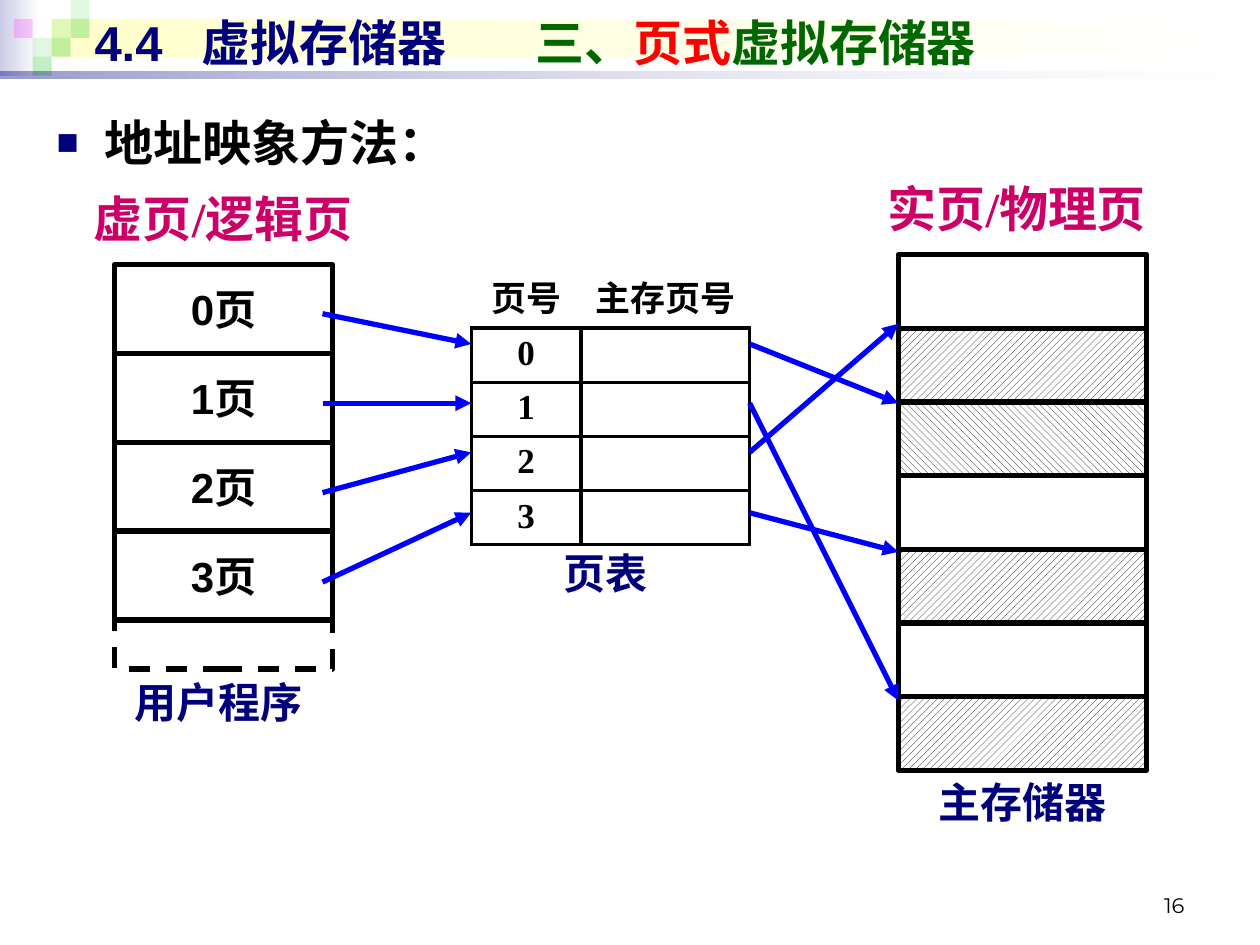
from lxml import etree
from pptx import Presentation, util as u
from pptx.dml.color import RGBColor
from pptx.enum import dml, shapes, text
from pptx.oxml import parse_xml
from pptx.oxml.ns import nsdecls, qn

Inches = u.Inches
NAVY, GREEN, RED, PINK, BLUE, BLACK, WHITE = map(RGBColor.from_string, (
    "00007D", "006600", "FF0000", "CC0066", "0000FF", "000000", "FFFFFF"))
LAVENDER, CREAM = RGBColor(0xCC, 0xCC, 0xE6), RGBColor(0xFF, 0xFF, 0xCC)
LIME, MAGENTA = RGBColor(0x33, 0xCC, 0x33), RGBColor(0xFF, 0, 0xFF)
SANS, SERIF = "Arial", "Times New Roman"
LEFT, CENTER, RIGHT = text.PP_ALIGN.LEFT, text.PP_ALIGN.CENTER, text.PP_ALIGN.RIGHT

TITLE = [("4.4\t虚拟存储器\t", NAVY), ("三、", GREEN), ("页式", RED), ("虚拟存储器", GREEN)]
TITLE_TABS = (0.85, 3.5)
BODY = "地址映象方法："
BANDS = [  # box, start and end colour, alpha percentages
    ((0, 0, 0.31, 0.6), LAVENDER, WHITE, (100, 100)),
    ((0.41, 0.15, 9.55, 0.3), CREAM, WHITE, (100, 100)),
    ((0, 0.57, 10, 0.05), NAVY, WHITE, (40, 10)),
]
TILE = 0.15
TILES = [  # column, row, colour, alpha percentage
    (2, 1, LIME, 15), (3, 0, LIME, 15), (3, 1, LIME, 30), (1, 2, LIME, 15),
    (0, 1, MAGENTA, 20), (2, 2, LIME, 30), (1, 3, LIME, 30),
]
PAGES = ["0页", "1页", "2页", "3页"]
PAGE_LEFT, PAGE_TOP, PAGE_WIDTH, PAGE_HEIGHT = 0.91, 2.1, 1.73, 0.705
TABLE = [("页号", "主存页号"), ("0", ""), ("1", ""), ("2", ""), ("3", "")]
TABLE_LEFT, TABLE_TOP, ROW_HEIGHT = 3.74, 2.1, 0.43
COLUMN_WIDTHS = (0.87, 1.34)
UP, DOWN = dml.MSO_PATTERN.WIDE_UPWARD_DIAGONAL, dml.MSO_PATTERN.WIDE_DOWNWARD_DIAGONAL
FRAMES = [None, UP, DOWN, None, UP, None, UP]
FRAME_LEFT, FRAME_TOP, FRAME_WIDTH, FRAME_HEIGHT = 7.13, 2.02, 1.97, 0.585
ENTRY_YS = (2.73, 3.2, 3.59, 4.07)
FRAME_YS = (3.2, 5.56, 2.57, 4.38)
LABELS = [  # text, box, size, font, colour, alignment
    ("用户程序", (0.75, 5.32, 1.97, 0.5), 24, SANS, NAVY),
    ("页表", (3.82, 4.3, 1.97, 0.5), 24, SANS, NAVY),
    ("主存储器", (7.13, 6.11, 1.97, 0.5), 24, SANS, NAVY),
    ("虚页/逻辑页", (0.51, 1.45, 2.52, 0.57), 28, SERIF, PINK),
    ("实页/物理页", (6.81, 1.37, 2.52, 0.57), 28, SERIF, PINK),
]


def assign(target, **values):
    """Set several attributes of one object."""
    for name, value in values.items():
        setattr(target, name, value)


def write(frame, runs, size, font, align=CENTER, bold=True):
    """Fill the first paragraph with (text, colour) runs."""
    paragraph = frame.paragraphs[0]
    paragraph.alignment = align
    for words, colour in runs:
        run = paragraph.add_run()
        run.text = words
        assign(run.font, size=u.Pt(size), name=font, bold=bold)
        run.font.color.rgb = colour
    return paragraph


def place(shape, box):
    """Move and size a shape in inches."""
    assign(shape, **dict(zip(("left", "top", "width", "height"), map(Inches, box))))


def set_alpha(colour_element, percent):
    """Make a colour element partly transparent."""
    if percent < 100:
        etree.SubElement(colour_element, qn("a:alpha")).set("val", str(percent * 1000))


def add_box(box, fill=WHITE, line=True, pattern=None, alpha=100):
    """Add a rectangle with a solid or hatched fill."""
    shape = slide.shapes.add_shape(shapes.MSO_SHAPE.RECTANGLE, *map(Inches, box))
    shape.shadow.inherit = False
    if pattern:
        shape.fill.patterned()
        shape.fill.pattern = pattern
        shape.fill.fore_color.rgb, shape.fill.back_color.rgb = BLACK, WHITE
    else:
        shape.fill.solid()
        shape.fill.fore_color.rgb = fill
        set_alpha(shape._element.spPr.find(".//" + qn("a:srgbClr")), alpha)
    if line:
        shape.line.color.rgb = BLACK
        shape.line.width = u.Pt(3)
    else:
        shape.line.fill.background()
    return shape


def add_band(box, start, end, alphas):
    """Add a rectangle that fades from left to right."""
    shape = add_box(box, line=False)
    shape.fill.gradient()
    shape.fill.gradient_angle = 0
    for stop, colour, position in zip(shape.fill.gradient_stops, (start, end), (0, 1)):
        stop.color.rgb = colour
        stop.position = position
    for element, alpha in zip(shape._element.spPr.iter(qn("a:srgbClr")), alphas):
        set_alpha(element, alpha)


def add_arrow(start, end):
    """Add a blue arrow between two points."""
    arrow = slide.shapes.add_connector(
        shapes.MSO_CONNECTOR.STRAIGHT, *map(Inches, start + end))
    arrow.line.color.rgb = BLUE
    arrow.line.width = u.Pt(3)
    etree.SubElement(arrow.line._get_or_add_ln(), qn("a:tailEnd")).set("type", "triangle")
    etree.SubElement(arrow._element.spPr, qn("a:effectLst"))


def add_label(words, box, size, font, colour, align=CENTER, bold=True):
    """Add a text box with one line."""
    frame = slide.shapes.add_textbox(*map(Inches, box)).text_frame
    frame.word_wrap = True
    write(frame, [(words, colour)], size, font, align, bold)
    return frame


def set_borders(cell, sides):
    """Draw the named sides of a cell and hide the others."""
    properties = cell._tc.get_or_add_tcPr()
    for index, side in enumerate("LRTB"):
        fill = '<a:solidFill><a:srgbClr val="000000"/></a:solidFill>'
        properties.insert(index, parse_xml(
            f'<a:ln{side} {nsdecls("a")} w="28575">'
            f'{fill if side in sides else "<a:noFill/>"}</a:ln{side}>'))


presentation = Presentation()
assign(presentation, slide_width=Inches(10), slide_height=Inches(7.5))
slide = presentation.slides.add_slide(presentation.slide_layouts[1])
title, body = slide.placeholders

for band in BANDS[:2]:
    add_band(*band)
for column, row, colour, alpha in TILES:
    add_box((0.11 + column * TILE, row * TILE, TILE, TILE), colour, False, alpha=alpha)
add_band(*BANDS[2])

for placeholder, box, anchor in (
        (title, (0.65, 0.05, 9, 0.57), text.MSO_ANCHOR.MIDDLE),
        (body, (0.35, 0.84, 9.45, 0.63), text.MSO_ANCHOR.TOP)):
    place(placeholder, box)
    assign(placeholder.text_frame, word_wrap=True, vertical_anchor=anchor,
           auto_size=text.MSO_AUTO_SIZE.NONE)
    slide.shapes._spTree.append(placeholder._element)
heading = write(title.text_frame, TITLE, 28, SANS, LEFT)
tabs = etree.SubElement(heading._p.get_or_add_pPr(), qn("a:tabLst"))
for position in TITLE_TABS:
    tab = etree.SubElement(tabs, qn("a:tab"))
    tab.set("pos", str(Inches(position)))
    tab.set("algn", "l")
bullet = write(body.text_frame, [(BODY, BLACK)], 28, SERIF, LEFT)._p.get_or_add_pPr()
bullet.set("marL", str(Inches(0.38)))
bullet.set("indent", str(-Inches(0.38)))
for xml in (f'<a:buClr {nsdecls("a")}><a:srgbClr val="{NAVY}"/></a:buClr>',
            f'<a:buSzPct {nsdecls("a")} val="75000"/>',
            f'<a:buFont {nsdecls("a")} typeface="{SANS}"/>',
            f'<a:buChar {nsdecls("a")} char="■"/>'):
    bullet.append(parse_xml(xml))

rest = add_box((PAGE_LEFT, PAGE_TOP + len(PAGES) * PAGE_HEIGHT, PAGE_WIDTH, 0.39))
rest.line.dash_style = dml.MSO_LINE.DASH
for index, page in enumerate(PAGES):
    shape = add_box((PAGE_LEFT, PAGE_TOP + index * PAGE_HEIGHT, PAGE_WIDTH, PAGE_HEIGHT))
    assign(shape.text_frame, word_wrap=False, vertical_anchor=text.MSO_ANCHOR.MIDDLE)
    write(shape.text_frame, [(page, BLACK)], 24, SANS)

table = slide.shapes.add_table(
    len(TABLE), len(COLUMN_WIDTHS), Inches(TABLE_LEFT), Inches(TABLE_TOP),
    Inches(sum(COLUMN_WIDTHS)), Inches(len(TABLE) * ROW_HEIGHT)).table
assign(table, first_row=False, horz_banding=False)
for column, width in zip(table.columns, COLUMN_WIDTHS):
    column.width = Inches(width)
for row_index, words in enumerate(TABLE):
    table.rows[row_index].height = Inches(ROW_HEIGHT)
    for cell, word in zip(table.rows[row_index].cells, words):
        cell.fill.background()
        set_borders(cell, "LRTB" if row_index else "B")
        write(cell.text_frame, [(word, BLACK)], 20, SERIF)

for index, pattern in enumerate(FRAMES):
    add_box((FRAME_LEFT, FRAME_TOP + index * FRAME_HEIGHT, FRAME_WIDTH, FRAME_HEIGHT),
            pattern=pattern)
for index, (entry_y, frame_y) in enumerate(zip(ENTRY_YS, FRAME_YS)):
    add_arrow((2.56, 2.49 + index * 0.71), (TABLE_LEFT, entry_y))
    add_arrow((5.95, entry_y), (FRAME_LEFT, frame_y))
for label in LABELS:
    add_label(*label)
number = add_label("16", (7.17, 6.83, 2.33, 0.5), 12, "Montserrat", BLACK, RIGHT, False)
number.vertical_anchor = text.MSO_ANCHOR.BOTTOM

presentation.save("out.pptx")
